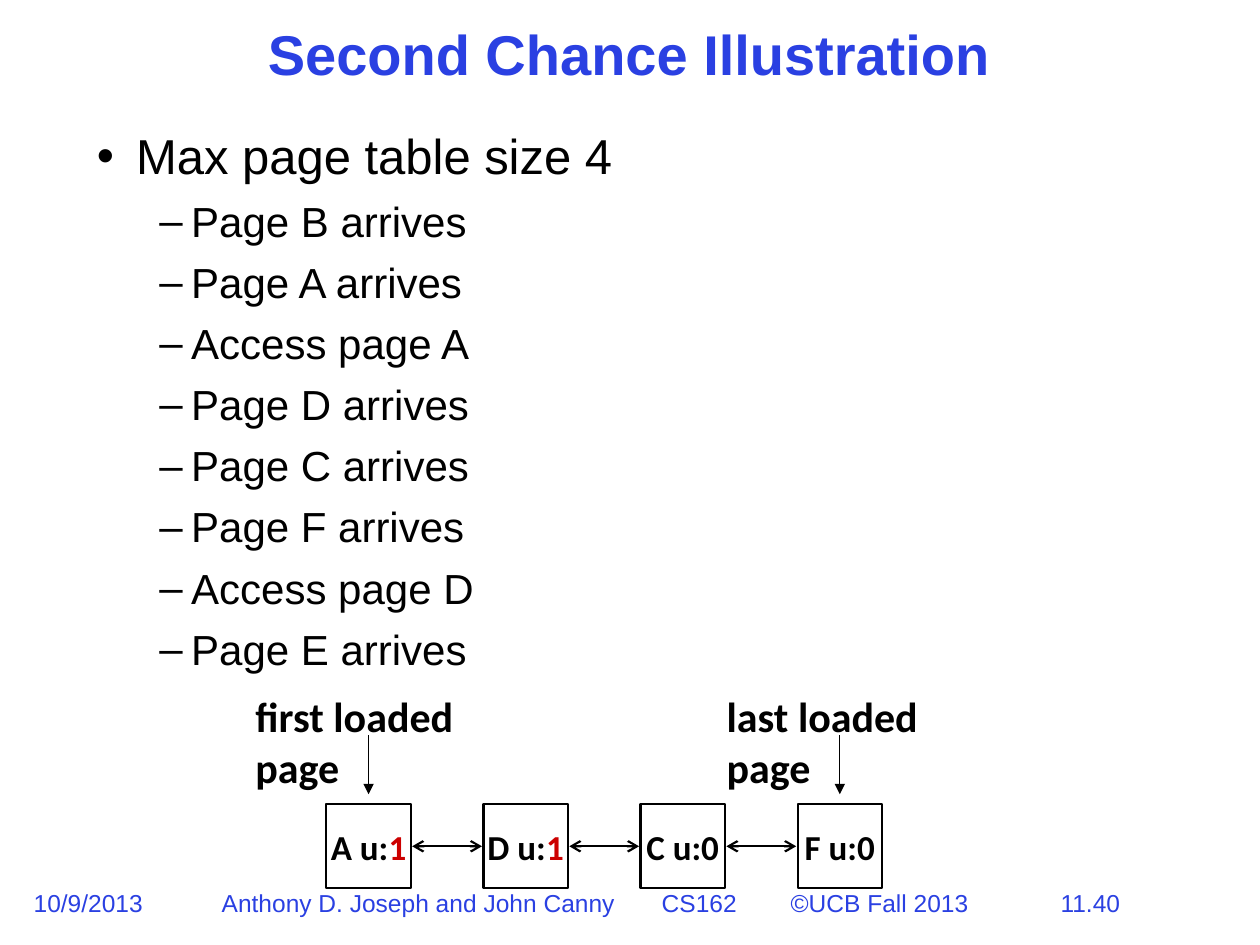
from dataclasses import dataclass

from lxml import etree
from pptx import Presentation
from pptx import util as u
from pptx.dml.color import RGBColor
from pptx.enum import shapes, text
from pptx.oxml import ns


@dataclass(frozen=True)
class Theme:
    accent: RGBColor = RGBColor(0x2A, 0x40, 0xE2)
    ink: RGBColor = RGBColor(0, 0, 0)
    used_bit: RGBColor = RGBColor(0xCC, 0, 0)
    main_font: str = "Arial"
    diagram_font: str = "Calibri"
    title_size: int = 32
    list_sizes: tuple = (28, 24)
    label_size: int = 24
    page_size: int = 20
    footer_size: int = 14


THEME = Theme()
EVENTS = ["Page B arrives", "Page A arrives", "Access page A", "Page D arrives",
          "Page C arrives", "Page F arrives", "Access page D", "Page E arrives"]
PAGES = [("A", 1), ("D", 1), ("C", 0), ("F", 0)]


def set_font(font, name, size, color, bold=False):
    font.name, font.size, font.bold = name, u.Pt(size), bold
    font.color.rgb = color


def place(shape, left, top, width, height):
    shape.left, shape.top = u.Cm(left), u.Cm(top)
    shape.width, shape.height = u.Cm(width), u.Cm(height)


def add_text(slide, left, top, width, height, words):
    box = slide.shapes.add_textbox(u.Cm(left), u.Cm(top), u.Cm(width), u.Cm(height))
    box.text_frame.word_wrap = True
    paragraph = box.text_frame.paragraphs[0]
    paragraph.text = words
    return box.text_frame, paragraph


def add_arrow(slide, start, end, width, **ends):
    """Draw a line; ends maps headEnd and tailEnd to arrowhead types."""
    x1, y1, x2, y2 = (u.Cm(value) for value in (*start, *end))
    line = slide.shapes.add_connector(shapes.MSO_CONNECTOR.STRAIGHT, x1, y1, x2, y2)
    line.line.color.rgb = THEME.ink
    line.line.width = u.Pt(width)
    outline = line.line._get_or_add_ln()
    for name, kind in ends.items():
        etree.SubElement(outline, ns.qn(f"a:{name}"), type=kind)
    etree.SubElement(line._element.spPr, ns.qn("a:effectLst"))


def set_bullet(paragraph, character, margin, indent):
    properties = paragraph._p.get_or_add_pPr()
    properties.set("marL", str(u.Cm(margin)))
    properties.set("indent", str(u.Cm(indent)))
    color = etree.SubElement(properties, ns.qn("a:buClr"))
    etree.SubElement(color, ns.qn("a:srgbClr"), val=str(THEME.ink))
    etree.SubElement(properties, ns.qn("a:buFont"), typeface=THEME.main_font)
    etree.SubElement(properties, ns.qn("a:buChar"), char=character)


def fill_title(slide, left, top, width, height):
    title = slide.shapes.title
    place(title, left, top, width, height)
    frame = title.text_frame
    frame.text = "Second Chance Illustration"
    frame.auto_size = text.MSO_AUTO_SIZE.NONE
    frame.vertical_anchor = text.MSO_ANCHOR.MIDDLE
    paragraph = frame.paragraphs[0]
    paragraph.alignment = text.PP_ALIGN.CENTER
    paragraph.line_spacing = 0.9
    set_font(paragraph.font, THEME.main_font, THEME.title_size, THEME.accent, True)


def fill_events(slide, left, top, width, height):
    body = slide.placeholders[1]
    place(body, left, top, width, height)
    frame = body.text_frame
    frame.text = "\n".join(["Max page table size 4", *EVENTS])
    frame.auto_size = text.MSO_AUTO_SIZE.NONE
    frame.vertical_anchor = text.MSO_ANCHOR.TOP
    for index, paragraph in enumerate(frame.paragraphs):
        level = min(index, 1)
        paragraph.level = level
        set_bullet(paragraph, *(("•", 0.79, -0.79), ("–", 1.9, -0.64))[level])
        paragraph.line_spacing = 0.9
        paragraph.space_before = u.Pt(9 * level)
        set_font(paragraph.font, THEME.main_font, THEME.list_sizes[level], THEME.ink)


def add_page(slide, left, top, size, page, bit):
    box = slide.shapes.add_shape(shapes.MSO_SHAPE.RECTANGLE,
                                 u.Cm(left), u.Cm(top), u.Cm(size), u.Cm(size))
    box.shadow.inherit = False
    box.fill.background()
    box.line.color.rgb = THEME.ink
    box.line.width = u.Pt(1.25)
    frame = box.text_frame
    frame.margin_left = frame.margin_right = frame.margin_top = frame.margin_bottom = 0
    frame.word_wrap = False
    frame.vertical_anchor = text.MSO_ANCHOR.MIDDLE
    paragraph = frame.paragraphs[0]
    paragraph.alignment = text.PP_ALIGN.CENTER
    set_font(paragraph.font, THEME.diagram_font, THEME.page_size, THEME.ink, True)
    paragraph.add_run().text = f"{page} u:"
    bit_run = paragraph.add_run()
    bit_run.text = str(bit)
    if bit:
        bit_run.font.color.rgb = THEME.used_bit


def add_page_chain(slide, left, top, width, height):
    size = 1.7
    pitch = (width - size) / (len(PAGES) - 1)
    page_top = top + height - size
    middle = page_top + size / 2

    # Pages, each linked both ways to the next
    for index, (page, bit) in enumerate(PAGES):
        x = left + index * pitch
        add_page(slide, x, page_top, size, page, bit)
        if index < len(PAGES) - 1:
            add_arrow(slide, (x + size + 0.03, middle), (x + pitch - 0.03, middle), 1.25,
                      headEnd="arrow", tailEnd="arrow")

    # Labels pointing at both ends of the chain
    for words, x in (("first loaded page", left), ("last loaded page", left + width - size)):
        _, paragraph = add_text(slide, x - 1.68, top, 5.28, 2.29, words)
        set_font(paragraph.font, THEME.diagram_font, THEME.label_size, THEME.ink, True)
        center = x + size / 2
        add_arrow(slide, (center, top + 1.02), (center, page_top - 0.2), 0.75,
                  tailEnd="triangle")


def add_footer(slide, left, top, width, height):
    credit = "Anthony D. Joseph and John Canny\tCS162\t©UCB Fall 2013"
    parts = [(0, 2.72, "10/9/2013", ()),
             (3.79, 15.6, credit, (8.87, 11.47)),
             (20.7, width - 20.7, "11.40", ())]
    for offset, part_width, words, stops in parts:
        frame, paragraph = add_text(slide, left + offset, top, part_width, height, words)
        frame.margin_right = 0
        if stops:
            tabs = etree.SubElement(paragraph._p.get_or_add_pPr(), ns.qn("a:tabLst"))
            for stop in stops:
                etree.SubElement(tabs, ns.qn("a:tab"), pos=str(u.Cm(stop)), algn="l")
        set_font(paragraph.font, THEME.main_font, THEME.footer_size, THEME.accent)


def main():
    presentation = Presentation()
    presentation.slide_width, presentation.slide_height = u.Cm(25.4), u.Cm(19.05)
    slide = presentation.slides.add_slide(presentation.slide_layouts[1])
    add_footer(slide, 0.43, 17.77, 24.15, 0.84)
    fill_title(slide, 2.74, 0.43, 19.89, 1.47)
    fill_events(slide, 1.7, 2.54, 22.02, 14.17)
    add_page_chain(slide, 6.58, 13.8, 11.2, 4.11)
    presentation.save("out.pptx")


if __name__ == "__main__":
    main()
